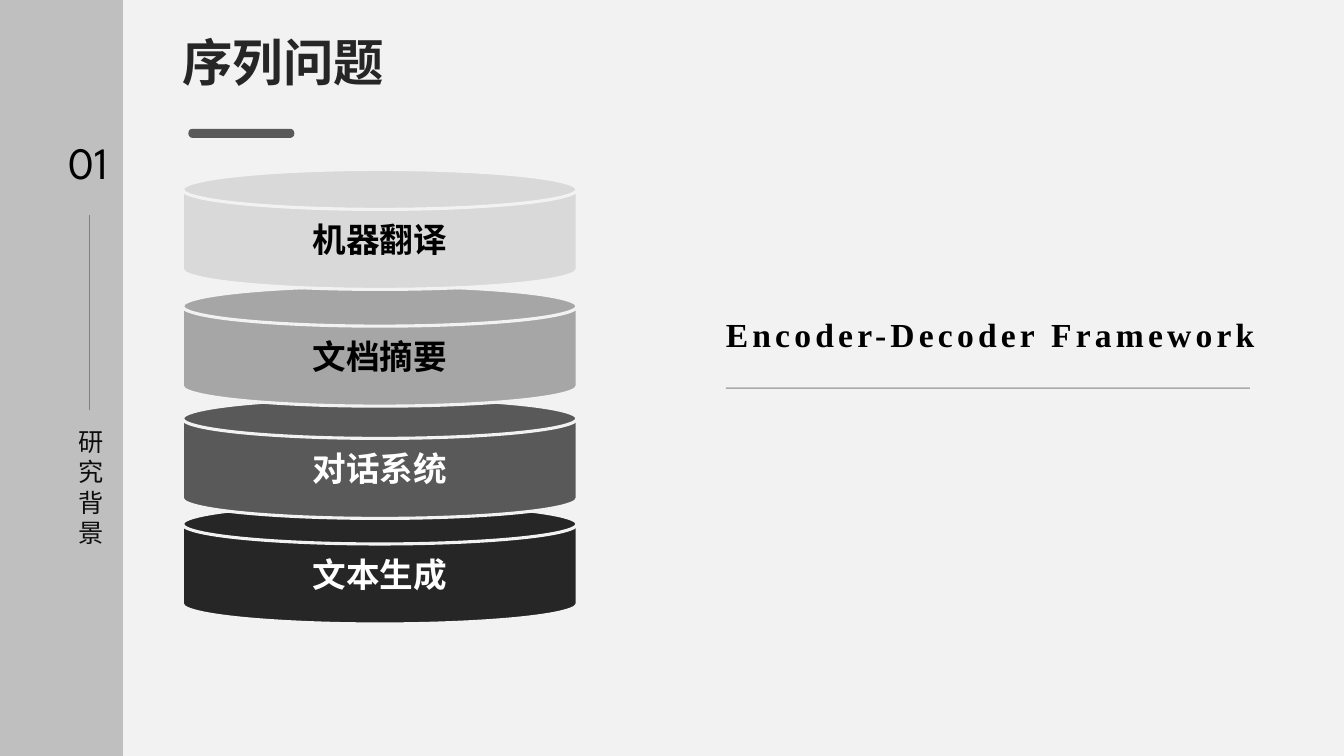
from lxml import etree
from pptx import Presentation
from pptx.dml.color import RGBColor
from pptx.enum.shapes import MSO_CONNECTOR, MSO_SHAPE
from pptx.enum.text import MSO_ANCHOR, MSO_AUTO_SIZE, PP_ALIGN
from pptx.oxml.ns import qn
from pptx.util import Pt

BLACK = RGBColor(0x00, 0x00, 0x00)
INK = RGBColor(0x0D, 0x0D, 0x0D)
CHARCOAL = RGBColor(0x26, 0x26, 0x26)
DARK_GRAY = RGBColor(0x59, 0x59, 0x59)
MID_GRAY = RGBColor(0x80, 0x80, 0x80)
GRAY = RGBColor(0xA6, 0xA6, 0xA6)
SIDEBAR_GRAY = RGBColor(0xBF, 0xBF, 0xBF)
LIGHT_GRAY = RGBColor(0xD9, 0xD9, 0xD9)
PAPER = RGBColor(0xF2, 0xF2, 0xF2)
WHITE = RGBColor(0xFF, 0xFF, 0xFF)
SANS = "League Spartan"
SERIF = "Times New Roman"


def set_text(sp, text, size, color, font=SANS, bold=False, align=PP_ALIGN.CENTER,
             wrap=True, anchor=MSO_ANCHOR.TOP):
    tf = sp.text_frame
    tf.word_wrap = wrap
    tf.vertical_anchor = anchor
    tf.auto_size = MSO_AUTO_SIZE.NONE
    p = tf.paragraphs[0]
    p.text = text
    p.alignment = align
    p.font.name, p.font.size, p.font.bold = font, Pt(size), bold
    p.font.color.rgb = color
    return p


def add_filled(kind, x, y, w, h, fill):
    sp = s.shapes.add_shape(kind, Pt(x), Pt(y), Pt(w), Pt(h))
    sp.shadow.inherit = False
    sp.fill.solid()
    sp.fill.fore_color.rgb = fill
    sp.line.fill.background()
    return sp


prs = Presentation()
prs.slide_width, prs.slide_height = Pt(960), Pt(540)
s = prs.slides.add_slide(prs.slide_layouts[5])
s.background.fill.solid()
s.background.fill.fore_color.rgb = PAPER

# Sidebar with section number and name
add_filled(MSO_SHAPE.RECTANGLE, 0, 0, 87.8, 540, SIDEBAR_GRAY)
number = s.shapes.add_textbox(Pt(38), Pt(93), Pt(50.4), Pt(46))
set_text(number, "01", 32, BLACK, wrap=False)
section = s.shapes.add_textbox(Pt(49), Pt(301), Pt(29.5), Pt(94.3))
set_text(section, "研究背景", 18, INK, align=PP_ALIGN.LEFT)

# Title and its accent bar
title = s.shapes.title
title.left, title.top, title.width, title.height = Pt(123), Pt(18.7), Pt(160), Pt(51)
set_text(title, "序列问题", 36, CHARCOAL, bold=True, align=PP_ALIGN.LEFT, wrap=False)
bar = add_filled(MSO_SHAPE.ROUNDED_RECTANGLE, 134.6, 92, 75.6, 6.5, DARK_GRAY)
bar.adjustments[0] = 0.44

# Stack of disks, from the bottom up
disks = [
    ("文本生成", 360, CHARCOAL, WHITE),
    ("对话系统", 284.6, DARK_GRAY, WHITE),
    ("文档摘要", 204.4, GRAY, BLACK),
    ("机器翻译", 121, LIGHT_GRAY, BLACK),
]
for task, y, fill, color in disks:
    disk = add_filled(MSO_SHAPE.FLOWCHART_MAGNETIC_DISK, 130.3, y, 282, 85.7, fill)
    disk.line.color.rgb = PAPER
    disk.line.width = Pt(2.25)
    set_text(disk, task, 24, color, bold=True, anchor=MSO_ANCHOR.MIDDLE)

# Framework heading
heading = s.shapes.add_textbox(Pt(502.6), Pt(221), Pt(409.7), Pt(36))
p = set_text(heading, "Encoder-Decoder Framework", 24, BLACK, font=SERIF, bold=True)
p.runs[0]._r.get_or_add_rPr().set("spc", "300")

# Sidebar rule and the translucent rule below the heading
rules = [
    (63.8, 153.4, 63.8, 293, MID_GRAY, 0.5, 100),
    (518.4, 277.2, 892.8, 277.2, INK, 1, 31),
]
for x1, y1, x2, y2, color, width, opacity in rules:
    rule = s.shapes.add_connector(MSO_CONNECTOR.STRAIGHT, Pt(x1), Pt(y1), Pt(x2), Pt(y2))
    rule.line.color.rgb = color
    rule.line.width = Pt(width)
    spPr = rule._element.spPr
    etree.SubElement(spPr, qn("a:effectLst"))
    if opacity < 100:
        clr = spPr.find(".//" + qn("a:srgbClr"))
        etree.SubElement(clr, qn("a:alpha")).set("val", str(opacity * 1000))

prs.save("out.pptx")
